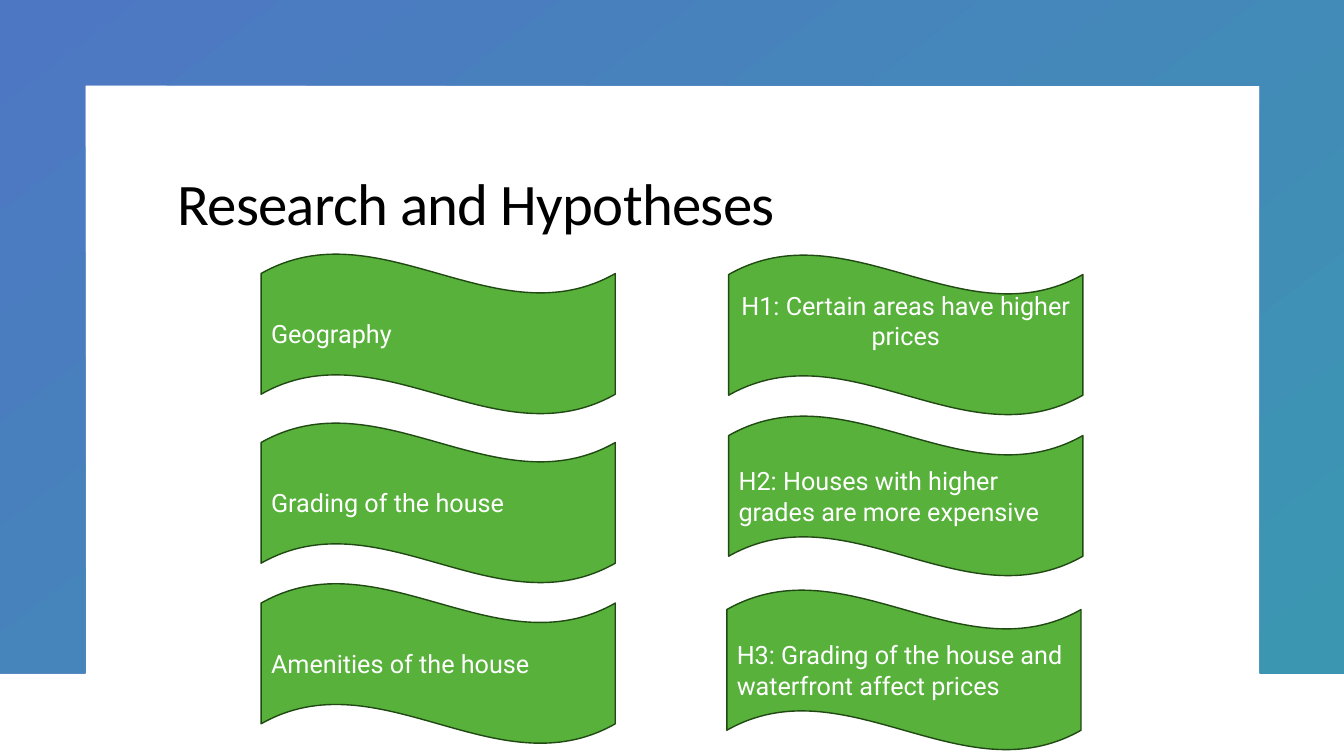
"""Build the Research and Hypotheses slide."""
import pptx
import pptx.dml.color
import pptx.enum.shapes
import pptx.enum.text
import pptx.util

Pt = pptx.util.Pt
LEFT = pptx.enum.text.PP_ALIGN.LEFT
CENTER = pptx.enum.text.PP_ALIGN.CENTER
TOP = pptx.enum.text.MSO_ANCHOR.TOP
MIDDLE = pptx.enum.text.MSO_ANCHOR.MIDDLE

WAVE_WIDTH, WAVE_HEIGHT = 253, 115
TOPICS = [
    ("Geography", 186.5, 181),
    ("Grading of the house", 186.5, 301.7),
    ("Amenities of the house", 186.5, 416.4),
]
HYPOTHESES = [
    ("H1: Certain areas have higher prices", 520.5, 181.7,
     {"align": CENTER, "bottom_inset": 24.7}),
    ("H2: Houses with higher grades are more expensive", 520.5, 296.7, {}),
    ("H3: Grading of the house and waterfront affect prices", 519.2, 421, {}),
]


def set_color(color_format, hex_color):
    """Give a colour format an RGB colour from a hex string."""
    color_format.rgb = pptx.dml.color.RGBColor.from_string(hex_color)


def write_text(shape, text, font="Roboto", size=18, color="FFFFFF", align=LEFT,
               anchor=MIDDLE, bottom_inset=3.6, line_spacing=1.0, tracking=0):
    """Write one formatted paragraph into a shape."""
    frame = shape.text_frame
    frame.word_wrap = True
    frame.auto_size = pptx.enum.text.MSO_AUTO_SIZE.NONE
    frame.vertical_anchor = anchor
    frame.margin_left = frame.margin_right = Pt(7.2)
    frame.margin_top = Pt(3.6)
    frame.margin_bottom = Pt(bottom_inset)
    paragraph = frame.paragraphs[0]
    paragraph.alignment = align
    paragraph.line_spacing = line_spacing
    run = paragraph.add_run()
    run.text = text
    run.font.name = font
    run.font.size = Pt(size)
    set_color(run.font.color, color)
    if tracking:
        run.font._element.set("spc", str(round(tracking * 100)))


def add_frame(slide):
    """Draw the gradient frame, open at its lower edge."""
    corners = [(960, 0), (960, 481), (900, 481), (900, 60.8),
               (60.8, 60.8), (60.8, 481), (0, 481)]
    builder = slide.shapes.build_freeform(0, 0, scale=Pt(1))
    builder.add_line_segments(corners, close=True)
    shape = builder.convert_to_shape()
    shape.shadow.inherit = False
    shape.line.fill.background()
    shape.fill.gradient()
    shape.fill.gradient_angle = 360 - 53
    for stop, position, color in zip(
            shape.fill.gradient_stops, (0, 1), ("4D77C3", "3B97B1")):
        stop.position = position
        set_color(stop.color, color)


def add_title(slide, text):
    """Place and format the title placeholder."""
    title = slide.shapes.title
    title.left, title.top = Pt(119.5), Pt(119.5)
    title.width, title.height = Pt(720), Pt(106)
    write_text(title, text, font="Calibri", size=42, color="000000",
               anchor=TOP, line_spacing=0.95, tracking=-0.5)


def add_wave(slide, text, left, top, **text_format):
    """Add a green wave with its label."""
    shape = slide.shapes.add_shape(
        pptx.enum.shapes.MSO_SHAPE.WAVE,
        Pt(left), Pt(top), Pt(WAVE_WIDTH), Pt(WAVE_HEIGHT))
    shape.shadow.inherit = False
    shape.fill.solid()
    set_color(shape.fill.fore_color, "57B13B")
    set_color(shape.line.color, "204913")
    shape.line.width = Pt(1)
    write_text(shape, text, **text_format)


def main():
    """Build and save the presentation."""
    presentation = pptx.Presentation()
    presentation.slide_width, presentation.slide_height = Pt(960), Pt(540)
    slide = presentation.slides.add_slide(presentation.slide_layouts[5])
    add_frame(slide)
    add_title(slide, "Research and Hypotheses")
    for text, left, top in TOPICS:
        add_wave(slide, text, left, top)
    for text, left, top, text_format in HYPOTHESES:
        add_wave(slide, text, left, top, **text_format)
    presentation.save("out.pptx")


if __name__ == "__main__":
    main()
